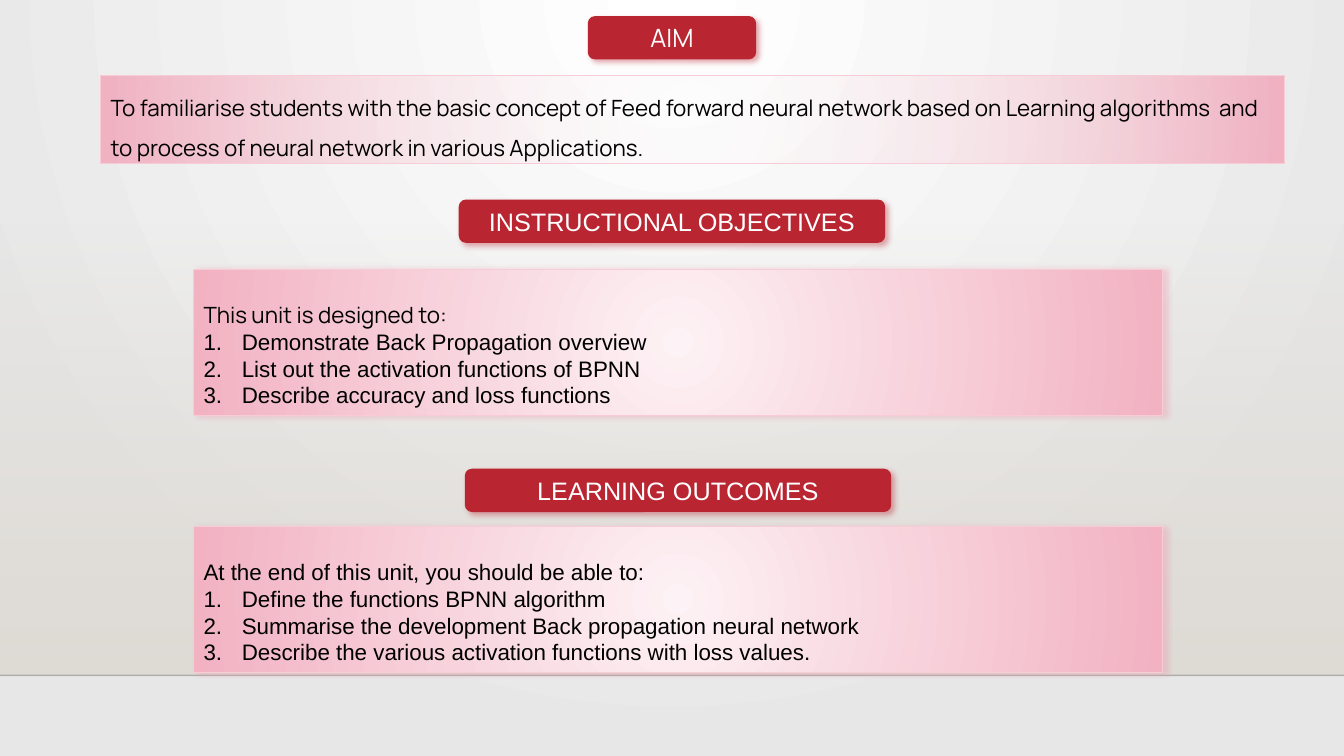
from lxml import etree
from pptx import Presentation
from pptx.dml.color import RGBColor
from pptx.enum.shapes import MSO_CONNECTOR, MSO_SHAPE
from pptx.enum.text import MSO_ANCHOR, MSO_AUTO_SIZE, PP_ALIGN
from pptx.oxml.ns import qn
from pptx.util import Inches, Pt

RECT, ROUNDED = MSO_SHAPE.RECTANGLE, MSO_SHAPE.ROUNDED_RECTANGLE
STRAIGHT = MSO_CONNECTOR.STRAIGHT
TOP, MIDDLE = MSO_ANCHOR.TOP, MSO_ANCHOR.MIDDLE
LEFT, CENTER = PP_ALIGN.LEFT, PP_ALIGN.CENTER
GROW = MSO_AUTO_SIZE.SHAPE_TO_FIT_TEXT

SLIDE_W, SLIDE_H = 13.33, 7.5
FLOOR_Y = 6.7
BADGE_H = 0.43
WIDE_BADGE_W = 4.23
LIST_X, LIST_W, LIST_H = 1.92, 9.61, 1.45
INDENT = 0.38

RED, ROSE, PALE_ROSE = "BA2532", "F2B2C2", "FDF2F5"
ROSE_EDGE, ROSE_SHADOW = "F7CCD6", "EE99AD"
WHITE, BLACK, GREY, SAND = "FFFFFF", "000000", "E7E7E7", "DFDBD5"
SANS, DISPLAY = "Arial", "Manrope"
CENTRE_FOCUS = (50, 50, 50, 50)


def rgb(value):
    return RGBColor.from_string(value)


def add_child(parent, tag, **attributes):
    child = etree.SubElement(parent, qn(tag))
    for key, value in attributes.items():
        child.set(key, str(value))
    return child


def add_colour(parent, value, opacity=100):
    colour = add_child(parent, "a:srgbClr", val=value)
    if opacity < 100:
        add_child(colour, "a:alpha", val=opacity * 1000)


def set_gradient(fill, holder, inner, outer, inner_opacity=100, focus=None):
    """Fill with a circular gradient around focus, or a vertical one without it."""
    fill.background()
    empty_fill = holder.find(qn("a:noFill"))
    gradient = etree.Element(qn("a:gradFill"), rotWithShape="1")
    stops = add_child(gradient, "a:gsLst")
    add_colour(add_child(stops, "a:gs", pos=0), inner, inner_opacity)
    add_colour(add_child(stops, "a:gs", pos=100000), outer)
    if focus:
        circle = add_child(gradient, "a:path", path="circle")
        sides = {side: share * 1000 for side, share in zip("ltrb", focus)}
        add_child(circle, "a:fillToRect", **sides)
    else:
        add_child(gradient, "a:lin", ang=90 * 60000, scaled=0)
    holder.replace(empty_fill, gradient)


def add_shadow(shape, colour, angle):
    effects = shape._element.spPr.find(qn("a:effectLst"))
    shadow = add_child(effects, "a:outerShdw", blurRad=Pt(4), dist=Pt(3),
                       dir=angle * 60000, algn="tl", rotWithShape=0)
    add_colour(shadow, colour, 40)


def add_block(slide, kind, box):
    block = slide.shapes.add_shape(kind, *map(Inches, box))
    block.shadow.inherit = False
    block.line.fill.background()
    return block


def format_paragraph(paragraph, size, font, colour, align):
    paragraph.alignment = align
    for run in paragraph.runs:
        run.font.size = Pt(size)
        run.font.name = font
        run.font.color.rgb = rgb(colour)


def draw_backdrop(slide):
    fill = slide.background.fill
    fill.background()
    set_gradient(fill, slide.element.find(".//" + qn("p:bgPr")), WHITE, GREY,
                 focus=(43, 0, 43, 100))
    wall_y = 2.21
    wall = add_block(slide, RECT, (0, wall_y, SLIDE_W, FLOOR_Y - wall_y))
    set_gradient(wall.fill, wall._element.spPr, SAND, SAND, inner_opacity=0)

    floor_edge = slide.shapes.add_connector(
        STRAIGHT, 0, Inches(FLOOR_Y), Inches(SLIDE_W), Inches(FLOOR_Y))
    floor_edge.line.width = Pt(1)
    floor_edge.line.color.rgb = rgb(BLACK)
    edge_colour = floor_edge._element.spPr.find(".//" + qn("a:srgbClr"))
    add_child(edge_colour, "a:alpha", val=20000)
    add_child(floor_edge._element.spPr, "a:effectLst")


def draw_badge(slide, x, y, width, heading, font=SANS):
    badge = add_block(slide, ROUNDED, (x, y, width, BADGE_H))
    badge.fill.solid()
    badge.fill.fore_color.rgb = rgb(RED)
    add_shadow(badge, RED, 45)
    frame = badge.text_frame
    frame.text = heading
    frame.vertical_anchor = MIDDLE
    format_paragraph(frame.paragraphs[0], 18, font, WHITE, CENTER)


def draw_panel(slide, box, intro, font, spacing, opacity=100):
    panel = add_block(slide, RECT, box)
    set_gradient(panel.fill, panel._element.spPr, PALE_ROSE, ROSE, opacity, CENTRE_FOCUS)
    panel.line.color.rgb = rgb(ROSE_EDGE)
    panel.line.width = Pt(0.75)
    frame = panel.text_frame
    frame.text = intro
    frame.word_wrap = True
    frame.auto_size = GROW
    frame.vertical_anchor = TOP
    frame.paragraphs[0].line_spacing = spacing
    format_paragraph(frame.paragraphs[0], 16, font, BLACK, LEFT)
    return panel


def draw_list_panel(slide, y, intro, items, intro_font=SANS):
    panel = draw_panel(slide, (LIST_X, y, LIST_W, LIST_H), intro, intro_font, 2.0)
    add_shadow(panel, ROSE_SHADOW, 0)
    for item in items:
        paragraph = panel.text_frame.add_paragraph()
        paragraph.text = item
        properties = paragraph._p.get_or_add_pPr()
        properties.set("marL", str(Inches(INDENT)))
        properties.set("indent", str(-Inches(INDENT)))
        add_child(properties, "a:buFont", typeface="+mj-lt")
        add_child(properties, "a:buAutoNum", type="arabicPeriod")
        format_paragraph(paragraph, 16, SANS, BLACK, LEFT)


def build_slide(deck):
    slide = deck.slides.add_slide(deck.slide_layouts[6])
    draw_backdrop(slide)

    draw_badge(slide, 5.83, 0.16, 1.67, "AIM", DISPLAY)
    draw_panel(slide, (1, 0.75, 11.74, 0.87),
               "To familiarise students with the basic concept of Feed forward neural "
               "network based on Learning algorithms  and to process of neural network "
               "in various Applications.", DISPLAY, 1.5, opacity=0)

    draw_badge(slide, 4.55, 1.98, WIDE_BADGE_W, "INSTRUCTIONAL OBJECTIVES")
    draw_list_panel(slide, 2.67, "This unit is designed to:", (
        "Demonstrate Back Propagation overview",
        "List out the activation functions of BPNN",
        "Describe accuracy and loss functions"), DISPLAY)

    draw_badge(slide, 4.61, 4.65, WIDE_BADGE_W, "LEARNING OUTCOMES")
    draw_list_panel(slide, 5.22, "At the end of this unit, you should be able to:", (
        "Define the functions BPNN algorithm",
        "Summarise the development Back propagation neural network",
        "Describe the various activation functions with loss values."))


def main():
    deck = Presentation()
    deck.slide_width, deck.slide_height = Inches(SLIDE_W), Inches(SLIDE_H)
    build_slide(deck)
    deck.save("out.pptx")


if __name__ == "__main__":
    main()
